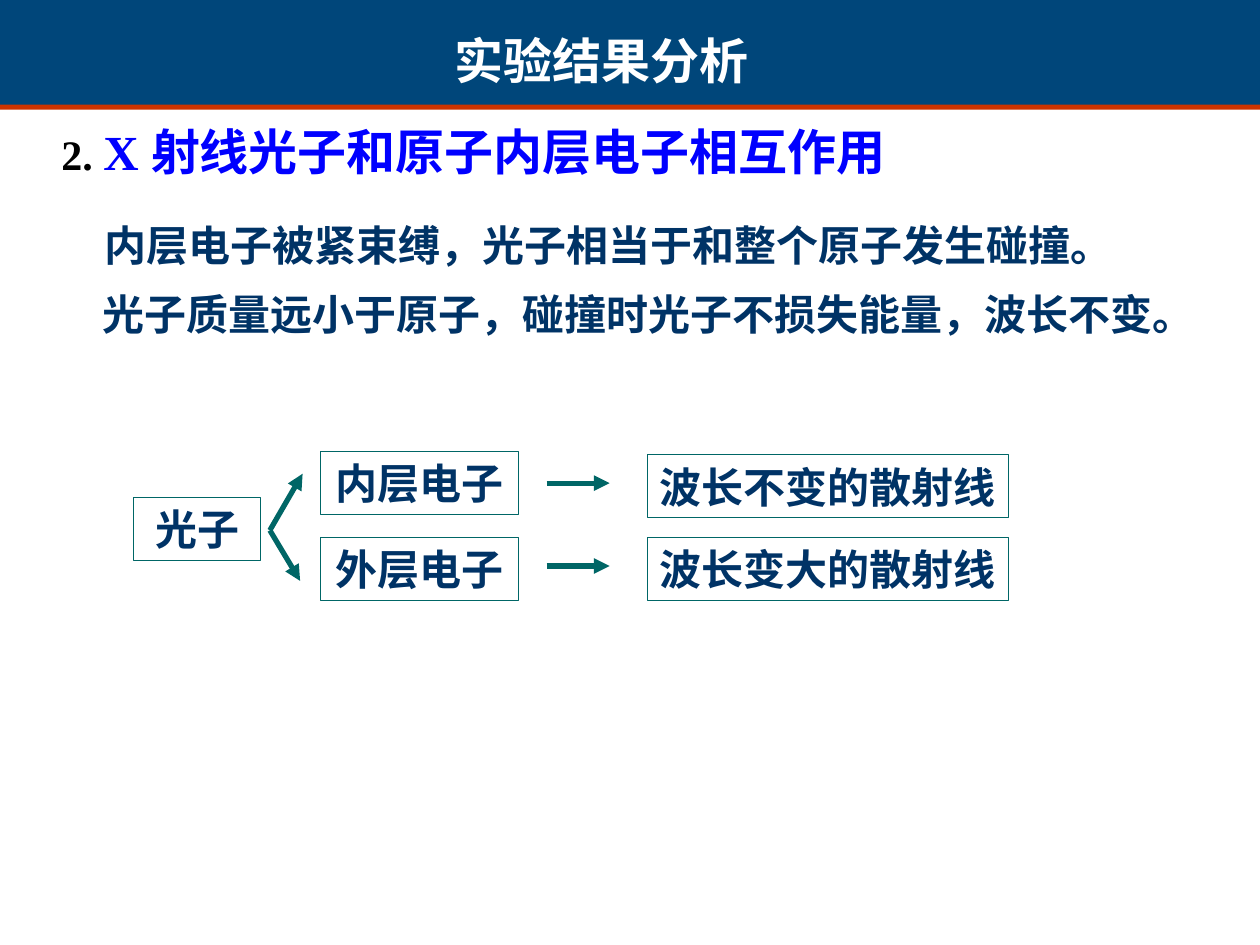
"""Build the slide on X-ray photons scattering from inner-shell electrons."""
from lxml import etree
from pptx import Presentation
from pptx.dml.color import RGBColor
from pptx.enum.shapes import MSO_CONNECTOR, MSO_SHAPE
from pptx.enum.text import MSO_ANCHOR, MSO_AUTO_SIZE, PP_ALIGN
from pptx.oxml.ns import qn
from pptx.util import Cm, Pt

RECTANGLE = MSO_SHAPE.RECTANGLE
STRAIGHT = MSO_CONNECTOR.STRAIGHT
TOP = MSO_ANCHOR.TOP
GROW = MSO_AUTO_SIZE.SHAPE_TO_FIT_TEXT
LEFT = PP_ALIGN.LEFT
CENTER = PP_ALIGN.CENTER

FONT = "Times New Roman"
NAVY = "003366"
TEAL = "006666"
BOX_HEIGHT = 1.27


def color(hex_string):
    return RGBColor.from_string(hex_string)


def write(shape, pieces, alignment=LEFT, wrap=True):
    text_frame = shape.text_frame
    text_frame.word_wrap = wrap
    text_frame.auto_size = GROW
    text_frame.vertical_anchor = TOP
    paragraph = text_frame.paragraphs[0]
    paragraph.alignment = alignment
    for text, size, hex_string in pieces:
        run = paragraph.add_run()
        run.text = text
        run.font.name = FONT
        run.font.size = Pt(size)
        run.font.bold = True
        run.font.color.rgb = color(hex_string)


presentation = Presentation()
presentation.slide_width = Cm(25.4)
presentation.slide_height = Cm(19.05)
slide = presentation.slides.add_slide(presentation.slide_layouts[6])

bands = [(2.01, 0.2, "CC3300"), (0, 2.11, "00467A")]
for top, height, fill in bands:
    band = slide.shapes.add_shape(RECTANGLE, 0, Cm(top), Cm(25.4), Cm(height))
    band.shadow.inherit = False
    band.fill.solid()
    band.fill.fore_color.rgb = color(fill)
    band.line.fill.background()

texts = [
    (8.92, 0.5, 7.57, 1.45, True, [("实验结果分析", 28, "FFFFFF")]),
    (0.99, 2.33, 17.35, 1.45, False,
     [("2. ", 24, "000000"), ("X 射线光子和原子内层电子相互作用", 28, "0000FF")]),
    (1.85, 4.31, 20.83, 1.27, False,
     [("内层电子被紧束缚，光子相当于和整个原子发生碰撞。", 24, NAVY)]),
    (1.82, 5.69, 23.29, 1.27, True,
     [("光子质量远小于原子，碰撞时光子不损失能量，波长不变。", 24, NAVY)]),
]
for left, top, width, height, wrap, pieces in texts:
    text_box = slide.shapes.add_textbox(Cm(left), Cm(top), Cm(width), Cm(height))
    write(text_box, pieces, wrap=wrap)

boxes = [
    ("光子", 2.69, 10.03, 2.57),
    ("内层电子", 6.46, 9.1, 3.99),
    ("外层电子", 6.46, 10.84, 3.99),
    ("波长不变的散射线", 13.05, 9.17, 7.28),
    ("波长变大的散射线", 13.05, 10.84, 7.28),
]
for label, left, top, width in boxes:
    box = slide.shapes.add_shape(RECTANGLE, Cm(left), Cm(top), Cm(width), Cm(BOX_HEIGHT))
    box.shadow.inherit = False
    box.fill.background()
    box.line.color.rgb = color(TEAL)
    box.line.width = Pt(0.75)
    box.text_frame.margin_left = box.text_frame.margin_right = Cm(0.1)
    write(box, [(label, 24, NAVY)], CENTER)

arrows = [
    (5.44, 10.69, 6.1, 9.55),
    (5.44, 10.69, 6.05, 11.71),
    (11.02, 9.74, 12.29, 9.74),
    (11.02, 11.41, 12.29, 11.41),
]
for ends in arrows:
    arrow = slide.shapes.add_connector(STRAIGHT, *map(Cm, ends))
    arrow.line.color.rgb = color(TEAL)
    arrow.line.width = Pt(3)
    line = arrow._element.spPr.find(qn("a:ln"))
    etree.SubElement(line, qn("a:tailEnd"), type="triangle")
    etree.SubElement(arrow._element.spPr, qn("a:effectLst"))

presentation.save("out.pptx")
